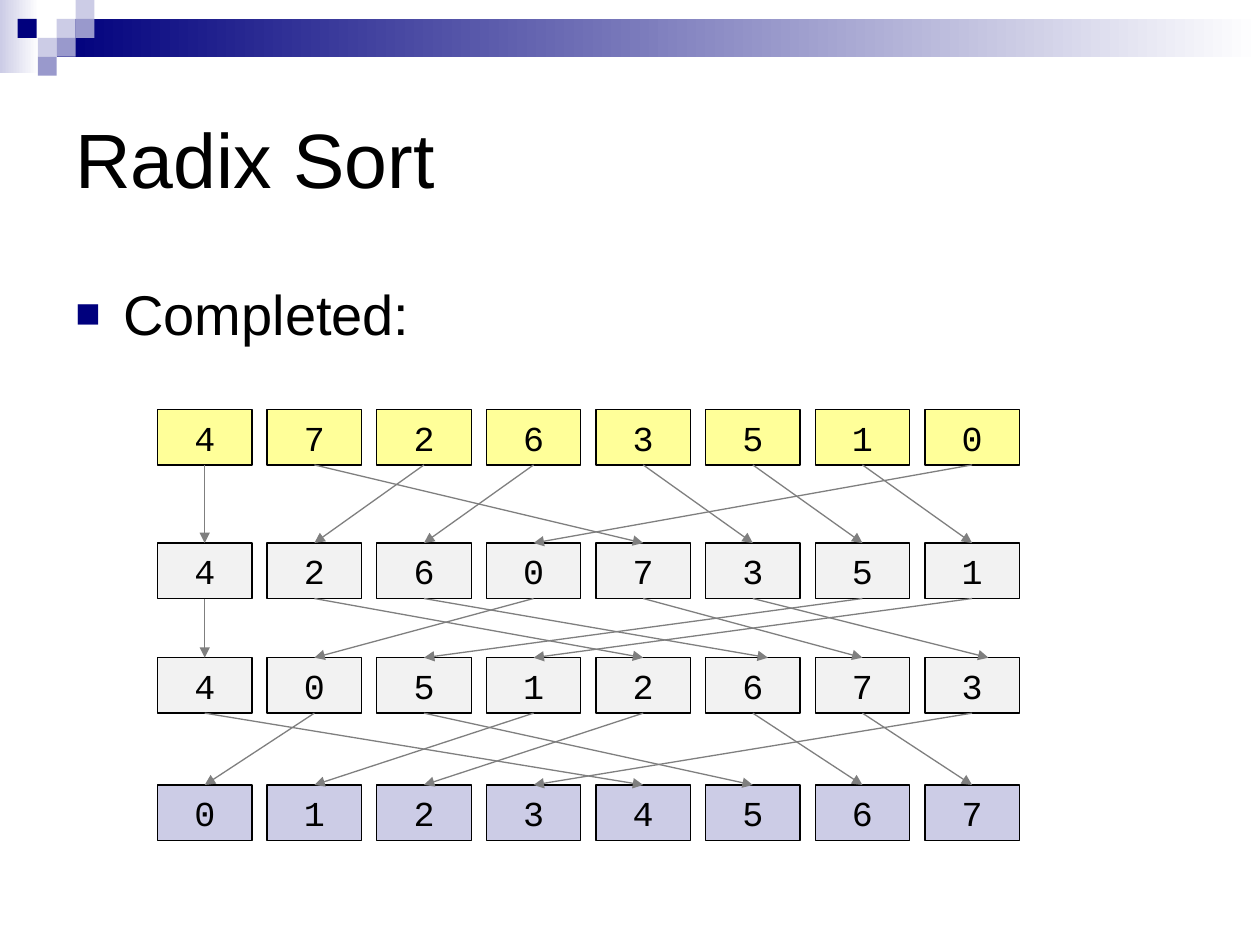
"""Build the completed radix sort slide."""
from lxml.etree import SubElement
from pptx import Presentation
from pptx.dml.color import RGBColor
from pptx.enum.shapes import MSO_CONNECTOR as Link, MSO_SHAPE as Shape
from pptx.enum.text import MSO_ANCHOR as Anchor, PP_ALIGN as Align
from pptx.oxml.ns import qn
from pptx.util import Inches, Pt

BLACK = RGBColor(0, 0, 0)
WHITE = RGBColor(255, 255, 255)
NAVY = RGBColor(0, 0, 0x7D)
LILAC = RGBColor(0xCC, 0xCC, 0xE6)
MAUVE = RGBColor(0x99, 0x99, 0xCC)
YELLOW = RGBColor(0xFF, 0xFF, 0x99)
PALE = RGBColor(0xF2, 0xF2, 0xF2)
GRAY = RGBColor(0x7F, 0x7F, 0x7F)

TITLE = "Radix Sort"
NOTE = "Completed:"
ROWS = [
    ("47263510", 3.25, YELLOW),
    ("42607351", 4.31, PALE),
    ("40512673", 5.22, PALE),
    ("01234567", 6.23, LILAC),
]
SHIFT = {(1, "6"): 0.12, (1, "3"): 0.13}
BANDS = [(0, 0, 0.31, 0.58, LILAC), (0.45, 0.15, 9.55, 0.3, NAVY)]
TILES = [
    (0.45, 0.15, LILAC), (0.6, 0, LILAC), (0.6, 0.15, MAUVE),
    (0.3, 0.3, LILAC), (0.14, 0.15, NAVY), (0.45, 0.3, MAUVE),
    (0.3, 0.45, MAUVE),
]
LEFT, STEP, WIDE, HIGH, TILE = 1.25, 0.87, 0.75, 0.44, 0.15


def add_rect(slide, x, y, w, h):
    rect = slide.shapes.add_shape(
        Shape.RECTANGLE, Inches(x), Inches(y), Inches(w), Inches(h))
    rect.shadow.inherit = False
    rect.line.fill.background()
    return rect


def paint(shape, color):
    shape.fill.solid()
    shape.fill.fore_color.rgb = color


def add_run(para, text, size, font):
    run = para.add_run()
    run.text = text
    run.font.size = Pt(size)
    run.font.name = font
    run.font.color.rgb = BLACK


def add_text(slide, y, h, text, size, anchor):
    box = slide.shapes.add_textbox(
        Inches(0.5), Inches(y), Inches(9), Inches(h))
    frame = box.text_frame
    frame.word_wrap = True
    frame.vertical_anchor = anchor
    para = frame.paragraphs[0]
    add_run(para, text, size, "Arial")
    return para


def add_bullet(para):
    para.space_before = Pt(8)
    props = para._p.get_or_add_pPr()
    props.set("marL", str(Inches(0.38)))
    props.set("indent", str(-Inches(0.38)))
    tint = SubElement(props, qn("a:buClr"))
    SubElement(tint, qn("a:srgbClr"), val=str(NAVY))
    SubElement(props, qn("a:buSzPct"), val="75000")
    SubElement(props, qn("a:buFont"), typeface="Arial")
    SubElement(props, qn("a:buChar"), char="■")


def add_cell(slide, x, y, digit, color):
    cell = add_rect(slide, x, y, WIDE, HIGH)
    paint(cell, color)
    cell.line.color.rgb = BLACK
    cell.line.width = Pt(0.75)
    frame = cell.text_frame
    frame.vertical_anchor = Anchor.MIDDLE
    para = frame.paragraphs[0]
    para.alignment = Align.CENTER
    add_run(para, digit, 20, "Courier New")


def add_arrow(slide, *ends):
    arrow = slide.shapes.add_connector(
        Link.STRAIGHT, *[Inches(end) for end in ends])
    arrow.line.color.rgb = GRAY
    arrow.line.width = Pt(0.75)
    SubElement(arrow.line._get_or_add_ln(), qn("a:tailEnd"), type="triangle")
    SubElement(arrow._element.spPr, qn("a:effectLst"))


def add_decor(slide):
    for x, y, w, h, color in BANDS:
        fill = add_rect(slide, x, y, w, h).fill
        fill.gradient()
        fill.gradient_angle = 0
        for stop, place, tint in zip(fill.gradient_stops, (0, 1), (color, WHITE)):
            stop.position = place
            stop.color.rgb = tint
    for x, y, color in TILES:
        paint(add_rect(slide, x, y, TILE, TILE), color)


def add_sort(slide):
    for digits, top, color in ROWS:
        for col, digit in enumerate(digits):
            add_cell(slide, LEFT + col * STEP, top, digit, color)
    mid = LEFT + WIDE / 2
    for row, (upper, lower) in enumerate(zip(ROWS, ROWS[1:])):
        for col, digit in enumerate(upper[0]):
            goal = mid + lower[0].index(digit) * STEP
            add_arrow(slide, mid + col * STEP, upper[1] + HIGH,
                      goal + SHIFT.get((row, digit), 0), lower[1])


def main():
    deck = Presentation()
    deck.slide_width, deck.slide_height = Inches(10), Inches(7.5)
    slide = deck.slides.add_slide(deck.slide_layouts[6])
    add_decor(slide)
    add_text(slide, 0.5, 1.5, TITLE, 44, Anchor.MIDDLE)
    add_bullet(add_text(slide, 2.17, 0.75, NOTE, 32, Anchor.TOP))
    add_sort(slide)
    deck.save("out.pptx")


if __name__ == "__main__":
    main()
